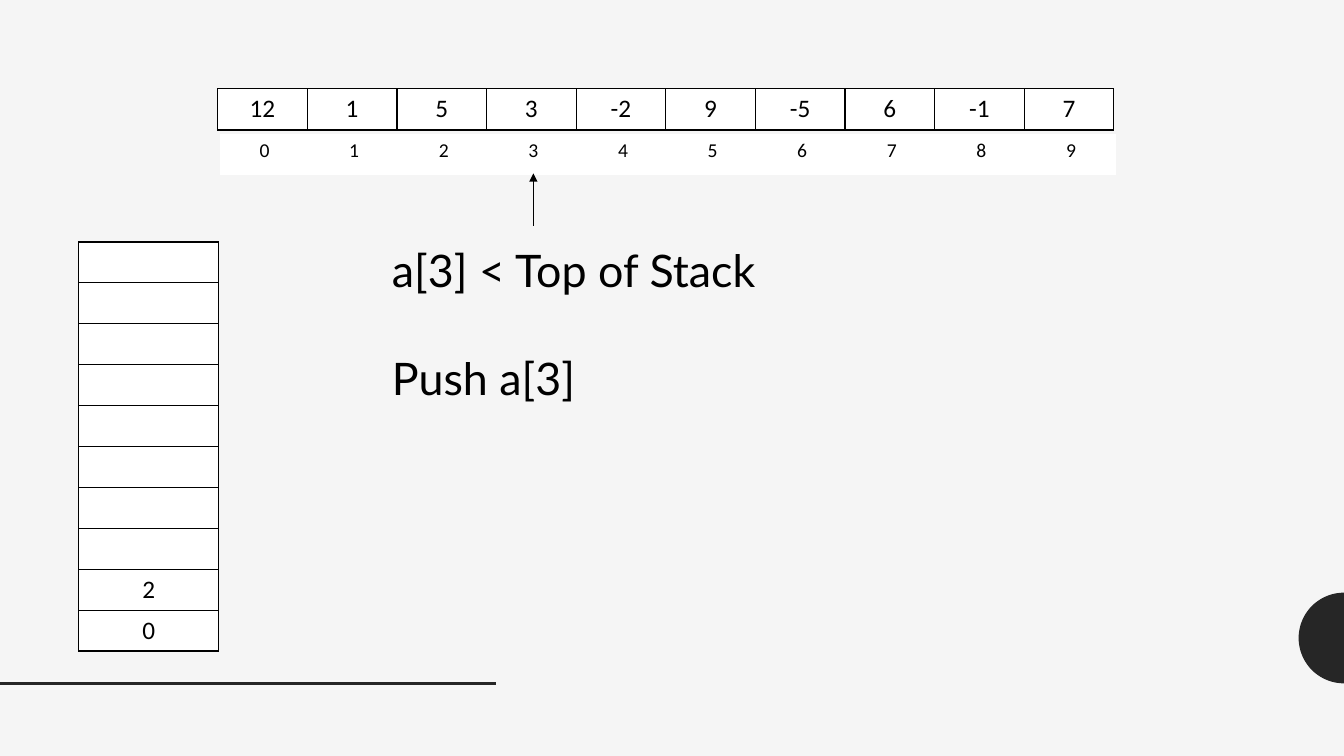
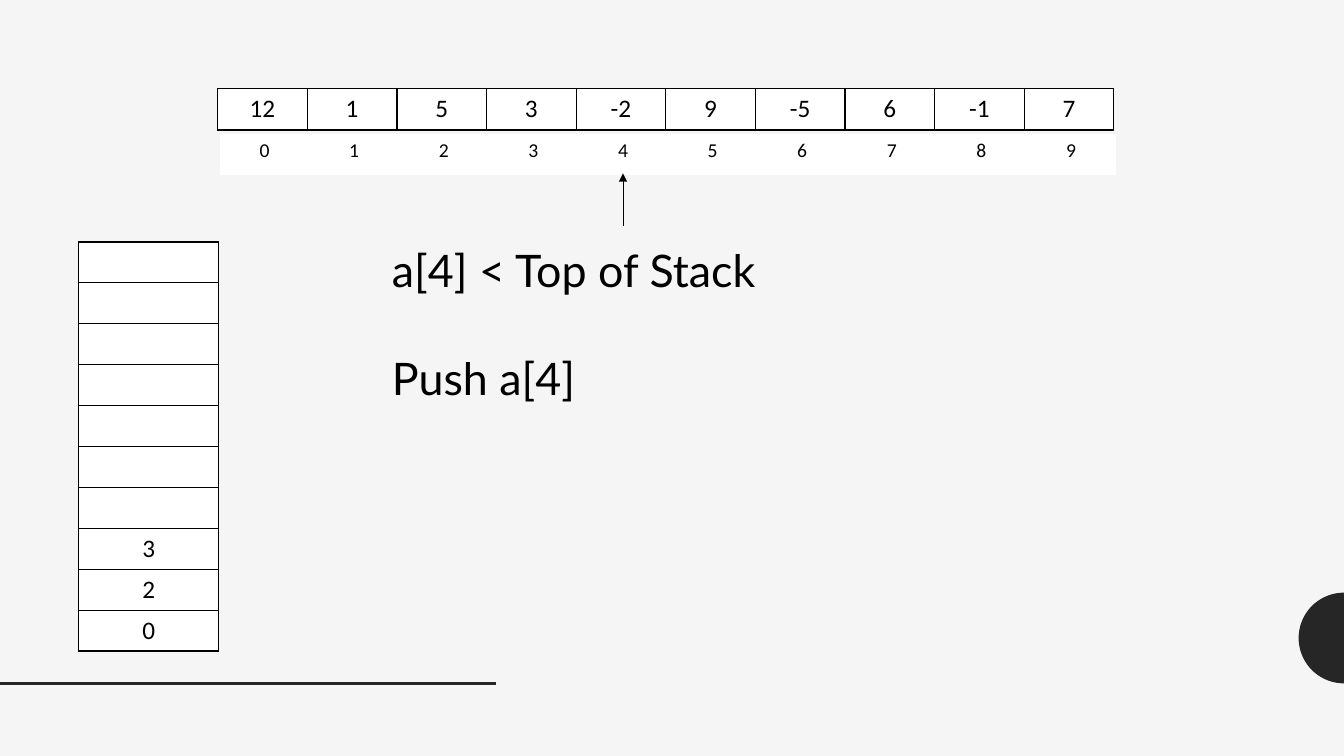
import math

import pptx
import pptx.dml.color
import pptx.enum.shapes
import pptx.enum.text
import pptx.oxml
import pptx.oxml.ns
import pptx.util

Inches = pptx.util.Inches
Pt = pptx.util.Pt

BACKGROUND, INK, BLACK, WHITE = "F5F5F5", "262626", "000000", "FFFFFF"
TABLE_FONT, BODY_FONT = "Calibri", "Lato"
VALUES = [12, 1, 5, 3, -2, 9, -5, 6, -1, 7]
STACK_SIZE = 10
INDEX_LEFT, ROW_WIDTH, ROW_HEIGHT = 2.18, 8.89, 0.41


def rgb(value):
    return pptx.dml.color.RGBColor.from_string(value)


def drawing_element(tag, fill=""):
    return pptx.oxml.parse_xml(f"<a:{tag} {pptx.oxml.ns.nsdecls('a')}>{fill}</a:{tag}>")


def write(p, text, size=18, font=TABLE_FONT, color=BLACK, align=None, before=None):
    """Add text as a run of paragraph p."""
    p.alignment = align
    if before is not None:
        p.space_before = Pt(before)
    r = p.add_run()
    r.text = text
    r.font.size = Pt(size)
    r.font.name = font
    r.font.color.rgb = rgb(color)


def set_borders(cell, color, width=1):
    """Outline a cell, or clear its outline when color is None."""
    fill = "<a:noFill/>"
    if color:
        fill = f'<a:solidFill><a:srgbClr val="{color}"/></a:solidFill>'
    for i, side in enumerate("LRTB"):
        ln = drawing_element(f"ln{side}", fill)
        ln.set("w", str(Pt(width)))
        cell._tc.get_or_add_tcPr().insert(i, ln)


class Deck:
    def __init__(self):
        self.prs = pptx.Presentation()
        self.prs.slide_width = Inches(13.333)
        self.prs.slide_height = Inches(7.5)
        fill = self.prs.slide_master.background.fill
        fill.solid()
        fill.fore_color.rgb = rgb(BACKGROUND)
        self.s = None

    def new_slide(self):
        self.s = self.prs.slides.add_slide(self.prs.slide_layouts[6])
        self.half_disc(6.33, 0.45)
        self.line((0, 6.78), (4.92, 6.78), INK, 2)

    def half_disc(self, center_y, radius, steps=40):
        """Half disc that bulges inward from the right edge of the slide."""
        cx, cy, rad = self.prs.slide_width, Inches(center_y), Inches(radius)
        angles = [math.pi * i / steps for i in range(steps + 1)]
        points = [(round(cx - rad * math.sin(a)), round(cy - rad * math.cos(a)))
                  for a in angles]
        builder = self.s.shapes.build_freeform(*points[0])
        builder.add_line_segments(points[1:], close=True)
        sp = builder.convert_to_shape()
        sp.shadow.inherit = False
        sp.fill.solid()
        sp.fill.fore_color.rgb = rgb(INK)
        sp.line.fill.background()

    def line(self, start, end, color, width, arrow=False):
        ends = [Inches(v) for v in (*start, *end)]
        sp = self.s.shapes.add_connector(
            pptx.enum.shapes.MSO_CONNECTOR.STRAIGHT, *ends)
        sp.line.color.rgb = rgb(color)
        sp.line.width = Pt(width)
        if arrow:
            tail = drawing_element("tailEnd")
            tail.set("type", "triangle")
            sp.line._get_or_add_ln().append(tail)
        sp._element.spPr.append(drawing_element("effectLst"))

    def table(self, rows, left, top, width, height, size=18, border=BLACK):
        table = self.s.shapes.add_table(
            len(rows), len(rows[0]),
            Inches(left), Inches(top), Inches(width), Inches(height)).table
        table.first_row = table.horz_banding = False
        for r, row in enumerate(rows):
            for c, value in enumerate(row):
                cell = table.cell(r, c)
                cell.fill.solid()
                cell.fill.fore_color.rgb = rgb(WHITE)
                set_borders(cell, border)
                if value is not None:
                    write(cell.text_frame.paragraphs[0], str(value), size=size,
                          align=pptx.enum.text.PP_ALIGN.CENTER)

    def text(self, lines, left, top, width, height, gap):
        """Text box with one paragraph a line and gap points between them."""
        sp = self.s.shapes.add_textbox(
            Inches(left), Inches(top), Inches(width), Inches(height))
        tf = sp.text_frame
        tf.word_wrap = True
        for i, line in enumerate(lines):
            p = tf.add_paragraph() if i else tf.paragraphs[0]
            write(p, line, size=32, font=BODY_FONT, before=gap if i else None)

    def push_step(self, index, stack):
        """Slide for pushing a[index] on a stack listed from its top."""
        self.new_slide()
        self.table([VALUES], 2.16, 0.88, ROW_WIDTH, ROW_HEIGHT)
        self.table([range(len(VALUES))], INDEX_LEFT, 1.33, ROW_WIDTH, ROW_HEIGHT,
                   size=14, border=None)
        slots = [None] * (STACK_SIZE - len(stack)) + stack
        self.table([[slot] for slot in slots], 0.78, 2.4, 1.39, 4.06)
        self.text([f"a[{index}] < Top of Stack", f"Push a[{index}]"],
                  3.79, 2.36, 6.04, 1.72, gap=38.4)
        x = INDEX_LEFT + (index + 0.5) * ROW_WIDTH / len(VALUES)
        self.line((x, 2.24), (x, 1.72), BLACK, 0.5, arrow=True)


def main():
    deck = Deck()
    deck.push_step(3, [2, 0])
    deck.push_step(4, [3, 2, 0])
    deck.prs.save("out.pptx")


if __name__ == "__main__":
    main()
